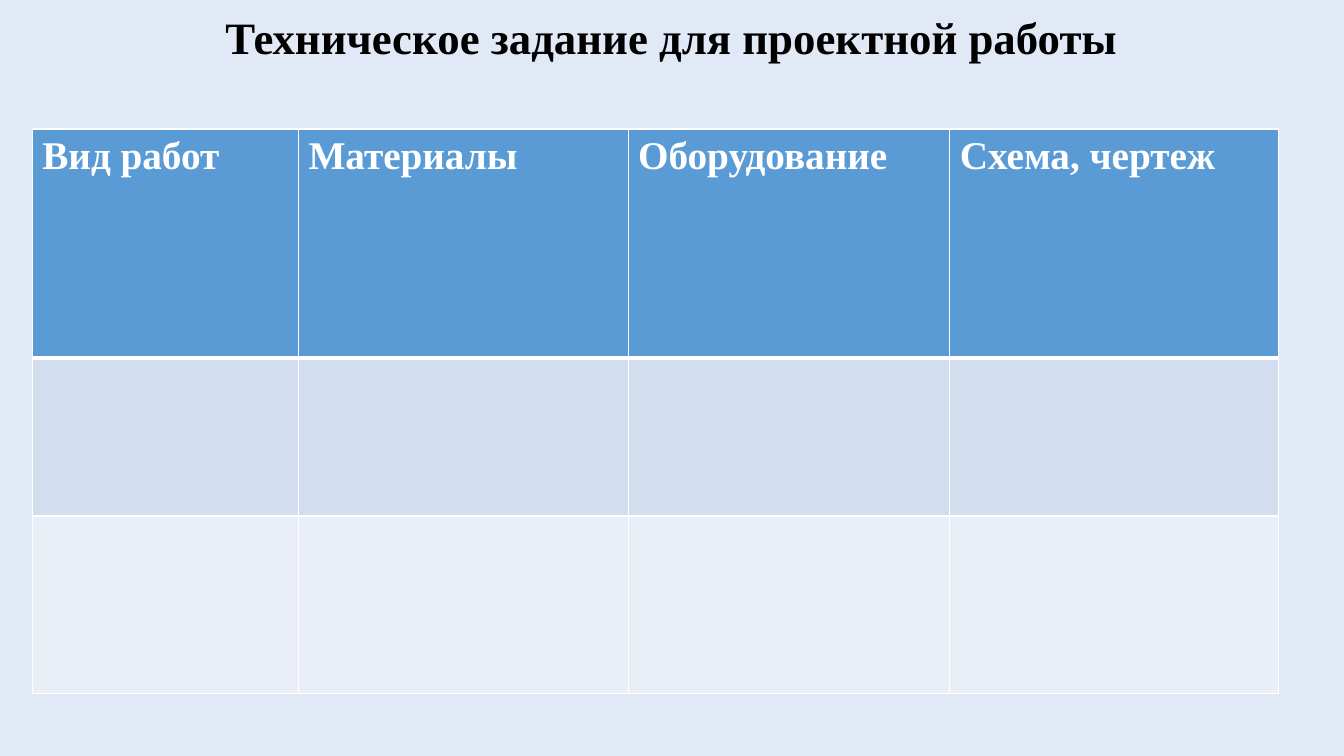
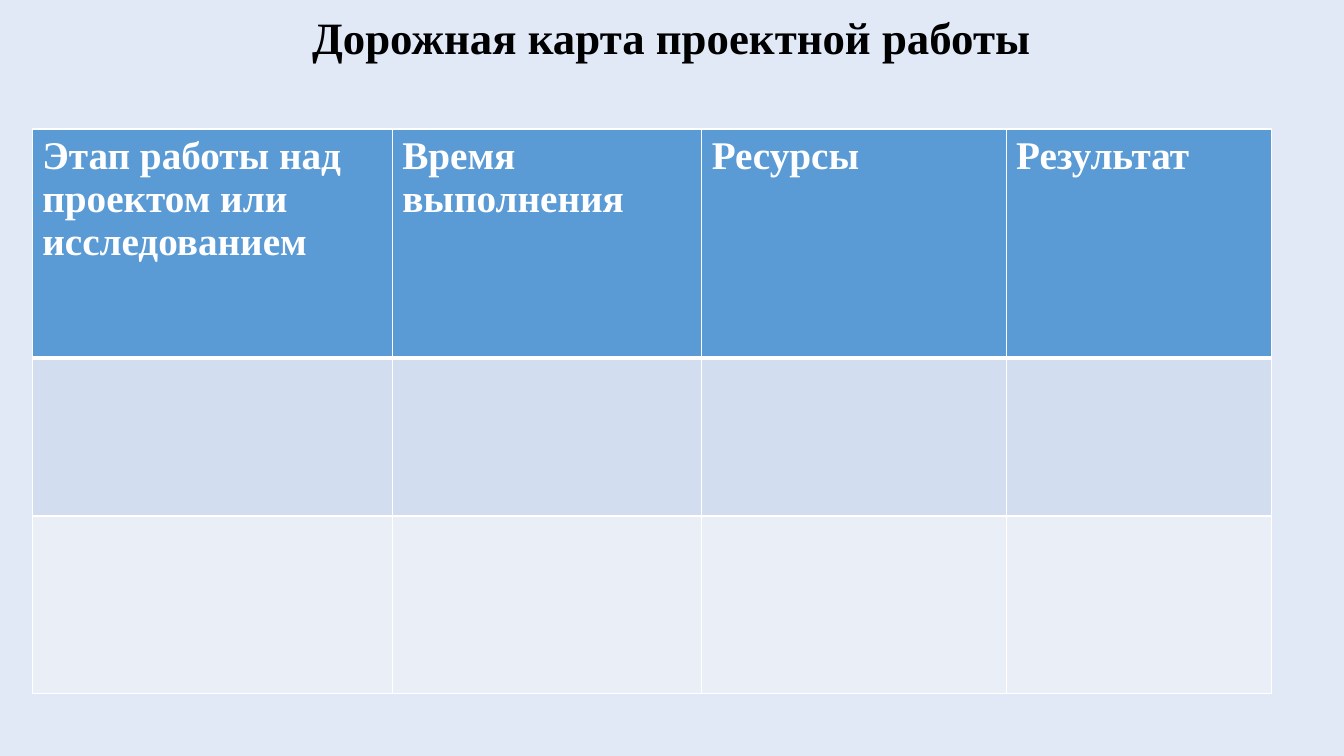
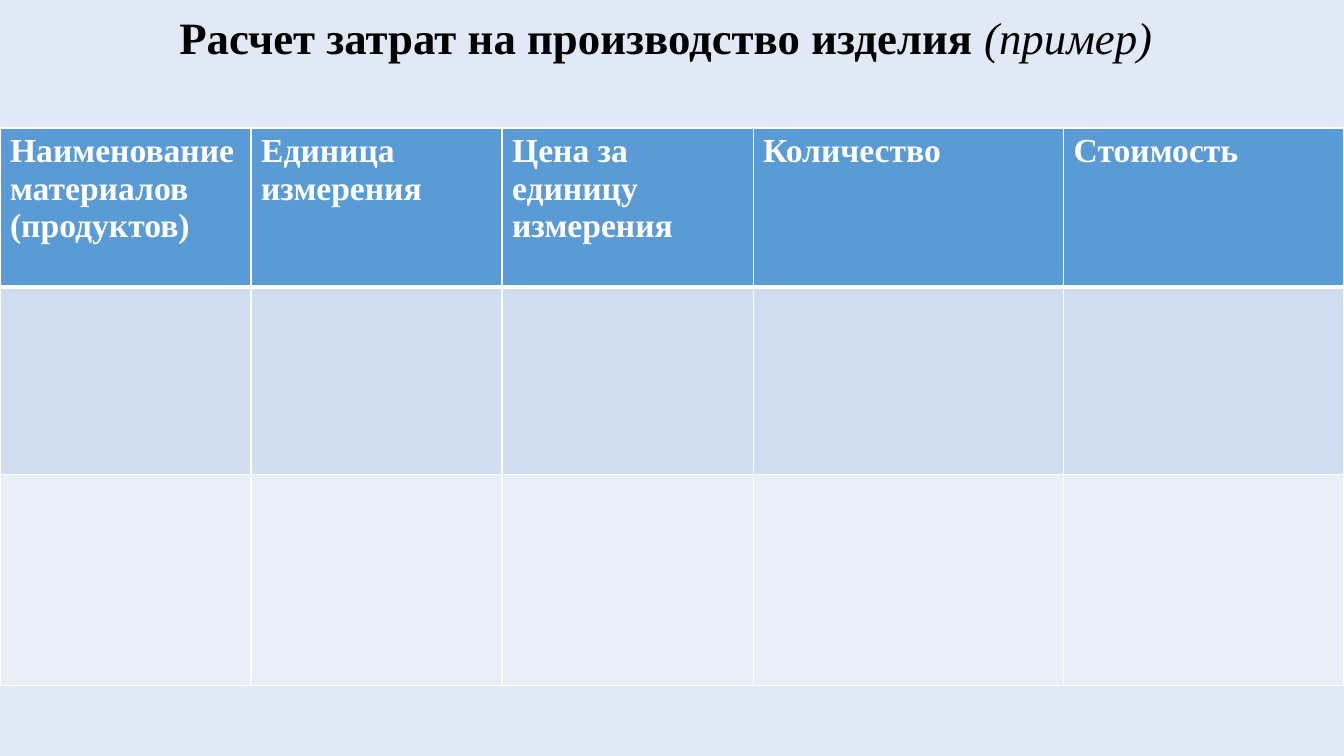
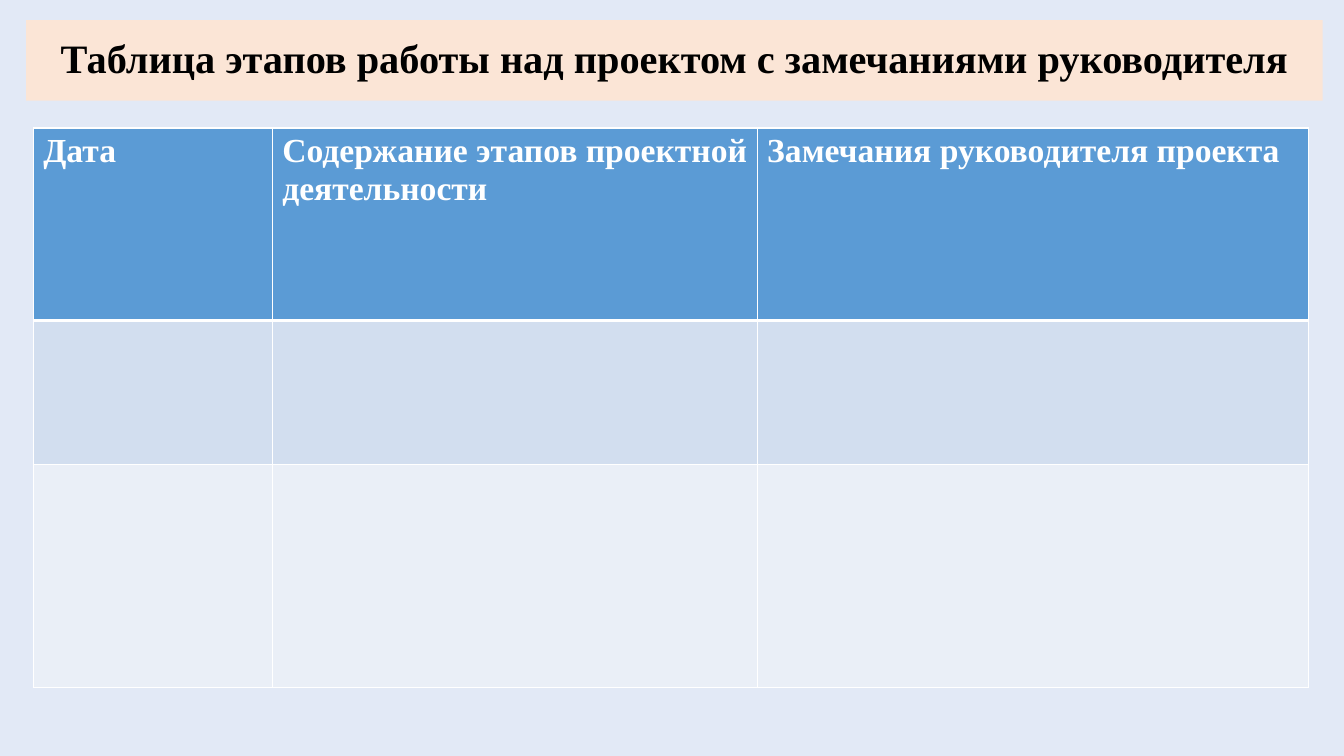
from dataclasses import dataclass

from lxml.etree import SubElement
from pptx import Presentation
from pptx.dml.color import RGBColor
from pptx.enum.text import MSO_ANCHOR as Anchor, PP_ALIGN as Align
from pptx.oxml.ns import qn
from pptx.util import Inches, Pt


@dataclass(frozen=True)
class Theme:
    """Colours, type sizes and line widths shared by all slides."""
    font: str = "Times New Roman"
    background: str = "E2E9F6"
    title_band: str = "FBE5D6"
    title_text: str = "000000"
    header: str = "5B9BD5"
    header_text: str = "FFFFFF"
    body_fills: tuple = ("D2DEEF", "EAEFF7")
    border: str = "FFFFFF"
    title_size: float = 32
    band_title_size: float = 28.8
    header_size: float = 28
    small_header_size: float = 24
    thin: float = 1
    thick: float = 3


def add_text(paragraph, text, *, font, size, color, bold=True, italic=False):
    """Add a formatted run to a paragraph."""
    run = paragraph.add_run()
    run.text = text
    run.font.name = font
    run.font.size = Pt(size)
    run.font.bold = bold
    run.font.italic = italic
    run.font.color.rgb = RGBColor.from_string(color)


def set_border(cell, side, color, width):
    """Draw one side (L, R, T or B) of a table cell."""
    properties = cell._tc.get_or_add_tcPr()
    line = SubElement(properties, qn(f"a:ln{side}"), w=str(Pt(width)))
    fill = SubElement(line, qn("a:solidFill"))
    SubElement(fill, qn("a:srgbClr"), val=color)


class Deck:
    """Holds the theme, the presentation and the current slide."""

    def __init__(self, theme):
        """Start a presentation with the shared background."""
        self.theme = theme
        self.presentation = Presentation()
        self.presentation.slide_width = Inches(13.33)
        self.presentation.slide_height = Inches(7.5)
        self.fill(self.presentation.slide_master.background, theme.background)
        self.slide = None

    @staticmethod
    def fill(target, color):
        """Give a shape, cell or background a solid colour."""
        target.fill.solid()
        target.fill.fore_color.rgb = RGBColor.from_string(color)

    def add_slide(self):
        """Make a new blank slide the current one."""
        layout = self.presentation.slide_layouts[6]
        self.slide = self.presentation.slides.add_slide(layout)

    def add_title(self, text, *, note="", band=False):
        """Add a centred title, with an italic note or on a coloured band."""
        theme = self.theme
        left, top = (0.26, 0.2) if band else (0.23, 0)
        shape = self.slide.shapes.add_textbox(
            Inches(left), Inches(top), Inches(12.86), Inches(0.8))
        if band:
            self.fill(shape, theme.title_band)
        frame = shape.text_frame
        frame.word_wrap = True
        frame.vertical_anchor = Anchor.MIDDLE
        paragraph = frame.paragraphs[0]
        paragraph.alignment = Align.CENTER
        paragraph.line_spacing = 0.9
        style = dict(font=theme.font, color=theme.title_text,
                     size=theme.band_title_size if band else theme.title_size)
        add_text(paragraph, text, **style)
        if note:
            add_text(paragraph, note, bold=False, italic=True, **style)

    def add_table(self, headers, *, left, top, columns, rows, size):
        """Add a form table: a header row above empty banded rows."""
        theme = self.theme
        table = self.slide.shapes.add_table(
            len(rows), len(columns), Inches(left), Inches(top),
            Inches(sum(columns)), Inches(sum(rows))).table
        table.horz_banding = False
        for column, width in zip(table.columns, columns):
            column.width = Inches(width)
        for index, (row, height) in enumerate(zip(table.rows, rows)):
            row.height = Inches(height)
            color = (theme.header, *theme.body_fills)[index]
            for cell in row.cells:
                self.style_cell(cell, index, color)
        for cell, text in zip(table.rows[0].cells, headers):
            add_text(cell.text_frame.paragraphs[0], text, font=theme.font,
                     size=size, color=theme.header_text)

    def style_cell(self, cell, row_index, color):
        """Fill a cell and border it, with a thick rule under the header."""
        theme = self.theme
        thick_side = {0: "B", 1: "T"}.get(row_index)
        for side in "LRTB":
            width = theme.thick if side == thick_side else theme.thin
            set_border(cell, side, theme.border, width)
        self.fill(cell, color)


def build_specification(deck):
    """Slide 1: technical specification."""
    deck.add_slide()
    deck.add_title("Техническое задание для проектной работы")
    deck.add_table(
        ["Вид работ", "Материалы", "Оборудование", "Схема, чертеж"],
        left=0.32, top=1.28, columns=[2.64, 3.27, 3.19, 3.26],
        rows=[2.27, 1.57, 1.76], size=deck.theme.header_size)


def build_roadmap(deck):
    """Slide 2: project roadmap."""
    deck.add_slide()
    deck.add_title("Дорожная карта проектной работы")
    deck.add_table(
        ["Этап работы над проектом или исследованием", "Время выполнения",
         "Ресурсы", "Результат"],
        left=0.32, top=1.28, columns=[3.57, 3.07, 3.02, 2.63],
        rows=[2.27, 1.57, 1.76], size=deck.theme.header_size)


def build_costs(deck):
    """Slide 3: production costs."""
    deck.add_slide()
    deck.add_title("Расчет затрат на производство изделия ", note="(пример) ")
    deck.add_table(
        ["Наименование материалов (продуктов)", "Единица измерения",
         "Цена за единицу измерения", "Количество", "Стоимость"],
        left=0, top=1.27, columns=[2.49, 2.49, 2.49, 3.08, 2.78],
        rows=[1.58, 1.86, 2.09], size=deck.theme.small_header_size)


def build_stages(deck):
    """Slide 4: project stages with the supervisor's remarks."""
    deck.add_slide()
    deck.add_title("Таблица этапов работы над проектом с замечаниями руководителя",
                   band=True)
    deck.add_table(
        ["Дата", "Содержание этапов проектной деятельности",
         "Замечания руководителя проекта"],
        left=0.33, top=1.27, columns=[2.37, 4.81, 5.47],
        rows=[1.91, 1.43, 2.21], size=deck.theme.small_header_size)


def main():
    """Build all slides and save the presentation."""
    deck = Deck(Theme())
    for build in (build_specification, build_roadmap, build_costs, build_stages):
        build(deck)
    deck.presentation.save("out.pptx")


main()
